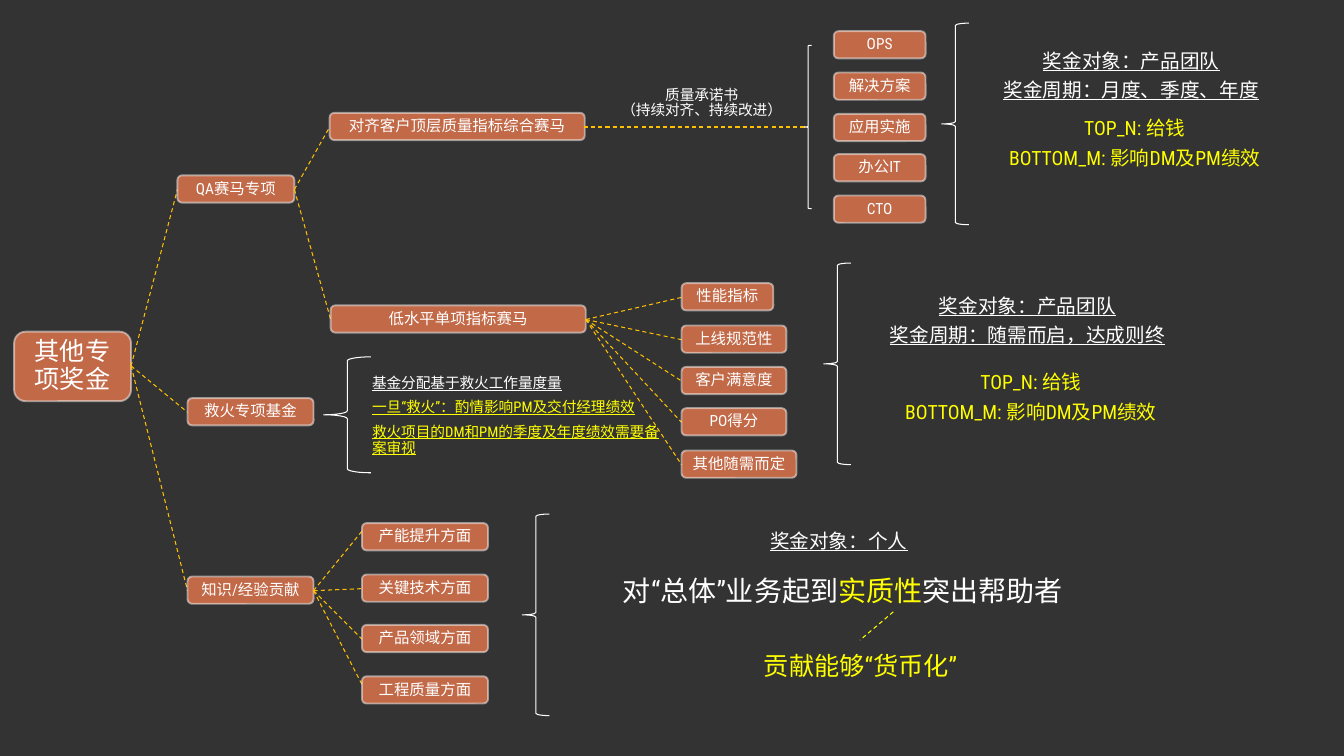
"""Build the mind-map slide on special bonuses."""
import copy
import dataclasses
import typing

import lxml.etree
import pptx
import pptx.dml.color
import pptx.enum.dml
import pptx.enum.shapes
import pptx.enum.text
import pptx.oxml.ns
import pptx.util

PX = 9144
FONT = "Roboto Condensed"
COLORS = {
    "background": "333333", "node": "FF8051", "border": "F9F9F9",
    "white": "FFFFFF", "yellow": "FFFF00", "branch": "FFC000",
}
SHAPES = pptx.enum.shapes.MSO_SHAPE
CENTER = pptx.enum.text.PP_ALIGN.CENTER
LEFT = pptx.enum.text.PP_ALIGN.LEFT
PARAGRAPH = {"line_spacing": 0.9, "space_after": pptx.util.Pt(6)}
FRAME = {
    "vertical_anchor": pptx.enum.text.MSO_ANCHOR.TOP,
    "auto_size": pptx.enum.text.MSO_AUTO_SIZE.SHAPE_TO_FIT_TEXT,
}


class Box(typing.NamedTuple):
    x: int
    y: int
    w: int
    h: int


class Span(typing.NamedTuple):
    text: str
    color: str = "white"
    underline: bool | None = None


@dataclasses.dataclass
class Node:
    text: str
    box: Box
    size: float = 11
    port: int = 14
    children: list["Node"] = dataclasses.field(default_factory=list)


@dataclasses.dataclass
class Note:
    box: Box
    size: float
    paragraphs: list[list[Span]]
    align: typing.Any = CENTER
    wrap: bool = True


def px(n: int) -> int:
    return pptx.util.Emu(n * PX)


def rgb(name: str) -> pptx.dml.color.RGBColor:
    return pptx.dml.color.RGBColor.from_string(COLORS[name])


def assign(obj: typing.Any, values: dict[str, typing.Any]) -> None:
    for name, value in values.items():
        setattr(obj, name, value)


def set_alpha(sp: typing.Any, tags: list[str], percent: int) -> None:
    clr = sp._element.spPr.find("/".join(map(pptx.oxml.ns.qn, tags)))
    alpha = lxml.etree.SubElement(clr, pptx.oxml.ns.qn("a:alpha"))
    alpha.set("val", str(percent * 1000))


def write(tf: typing.Any, paragraphs: list[list[Span]], size: float,
          align: typing.Any, inset: tuple[int, int], wrap: bool = True) -> None:
    mx, my = map(px, inset)
    assign(tf, FRAME | {"word_wrap": wrap, "margin_left": mx, "margin_right": mx,
                        "margin_top": my, "margin_bottom": my})
    for i, spans in enumerate(paragraphs):
        p = tf.add_paragraph() if i else tf.paragraphs[0]
        assign(p, PARAGRAPH | {"alignment": align})
        for span in spans:
            for j, text in enumerate(span.text.split("\n")):
                if j:
                    p.add_line_break()
                r = p.add_run()
                r.text = text
                assign(r.font, {"name": FONT, "size": pptx.util.Pt(size),
                                "underline": span.underline})
                r.font.color.rgb = rgb(span.color)
                rpr = r._r.get_or_add_rPr()
                ea = lxml.etree.SubElement(rpr, pptx.oxml.ns.qn("a:ea"))
                ea.set("typeface", FONT)
                for br in p._p.findall(pptx.oxml.ns.qn("a:br")):
                    if len(br) == 0:
                        br.append(copy.deepcopy(rpr))


def add_dash(s: typing.Any, x1: int, y1: int, x2: int, y2: int, color: str = "branch") -> None:
    kind = pptx.enum.shapes.MSO_CONNECTOR.STRAIGHT
    line = s.shapes.add_connector(kind, *map(px, (x1, y1, x2, y2)))
    assign(line.line, {"width": pptx.util.Pt(0.75),
                       "dash_style": pptx.enum.dml.MSO_LINE.DASH})
    line.line.color.rgb = rgb(color)
    lxml.etree.SubElement(line._element.spPr, pptx.oxml.ns.qn("a:effectLst"))


def add_node(s: typing.Any, node: Node) -> None:
    sp = s.shapes.add_shape(SHAPES.ROUNDED_RECTANGLE, *map(px, node.box))
    sp.shadow.inherit = False
    sp.fill.solid()
    sp.fill.fore_color.rgb = rgb("node")
    sp.line.width = pptx.util.Pt(1.35)
    sp.line.color.rgb = rgb("border")
    set_alpha(sp, ["a:solidFill", "a:srgbClr"], 70)
    set_alpha(sp, ["a:ln", "a:solidFill", "a:srgbClr"], 50)
    write(sp.text_frame, [[Span(node.text)]], node.size, CENTER, (8, 4))
    for child in node.children:
        add_dash(s, node.box.x + node.box.w, node.box.y + node.port,
                 child.box.x, child.box.y + child.port)
        add_node(s, child)


def add_brace(s: typing.Any, box: Box) -> None:
    sp = s.shapes.add_shape(SHAPES.LEFT_BRACE, *map(px, box))
    sp.shadow.inherit = False
    sp.fill.background()
    sp.line.width = pptx.util.Pt(0.75)
    sp.line.color.rgb = rgb("white")


def add_note(s: typing.Any, note: Note) -> None:
    sp = s.shapes.add_textbox(*map(px, note.box))
    write(sp.text_frame, note.paragraphs, note.size, note.align, (20, 16), note.wrap)


def column(x: int, y: int, step: float, items: list[tuple[str, int]]) -> list[Node]:
    return [Node(text, Box(x, y + round(i * step), w, 27))
            for i, (text, w) in enumerate(items)]


def lines(color: str, underline: bool | None, *texts: str) -> list[list[Span]]:
    return [[Span(text, color, underline)] for text in texts]


PRODUCTS = column(827, 31, 40.75, [
    (t, 91) for t in ("OPS", "解决方案", "应用实施", "办公IT", "CTO")])
METRICS = column(676, 281, 41.5, [
    ("性能指标", 91), ("上线规范性", 104), ("客户满意度", 104),
    ("PO得分", 104), ("其他随需而定", 114)])
CONTRIBUTIONS = column(359, 519, 50.67, [
    (t, 125) for t in ("产能提升方面", "关键技术方面", "产品领域方面", "工程质量方面")])
CONTRIBUTIONS[0].port = CONTRIBUTIONS[-1].port = 8

ROOT = Node("其他专项奖金", Box(14, 329, 116, 69), 18, 34, [
    Node("QA赛马专项", Box(176, 174, 116, 27), children=[
        Node("对齐客户顶层质量指标综合赛马", Box(327, 112, 253, 27)),
        Node("低水平单项指标赛马", Box(328, 303, 253, 27), children=METRICS)]),
    Node("救火专项基金", Box(186, 395, 125, 27)),
    Node("知识/经验贡献", Box(186, 572, 125, 27), children=CONTRIBUTIONS)])

BRACES = [Box(798, 45, 7, 162), Box(817, 261, 27, 200), Box(934, 23, 27, 200),
          Box(518, 510, 27, 200), Box(321, 354, 47, 115)]

OUTCOME = lines("yellow", None, "TOP_N: 给钱", "BOTTOM_M: 影响DM及PM绩效")
NOTES = [
    Note(Box(595, 71, 202, 64), 10.5,
         lines("white", None, "质量承诺书\n（持续对齐、持续改进）"), wrap=False),
    Note(Box(947, 35, 350, 83), 14,
         lines("white", True, "奖金对象：产品团队", "奖金周期：月度、季度、年度")),
    Note(Box(947, 102, 357, 83), 14, OUTCOME),
    Note(Box(844, 278, 350, 83), 14,
         lines("white", True, "奖金对象：产品团队", "奖金周期：随需而启，达成则终")),
    Note(Box(844, 354, 357, 83), 14, OUTCOME),
    Note(Box(657, 517, 350, 54), 14, lines("white", True, "奖金对象：个人")),
    Note(Box(571, 558, 530, 63), 20,
         [[Span("对“总体”业务起到"), Span("实质性", "yellow"), Span("突出帮助者")]]),
    Note(Box(559, 635, 589, 60), 18, lines("yellow", None, "贡献能够“货币化”")),
    Note(Box(349, 357, 325, 113), 10.5,
         lines("white", True, "基金分配基于救火工作量度量")
         + lines("yellow", True, "一旦“救火”：酌情影响PM及交付经理绩效",
                 "救火项目的DM和PM的季度及年度绩效需要备案审视"), LEFT),
]


def main() -> None:
    prs = pptx.Presentation()
    assign(prs, {"slide_width": px(1333), "slide_height": px(750)})
    s = prs.slides.add_slide(prs.slide_layouts[6])
    s.background.fill.solid()
    s.background.fill.fore_color.rgb = rgb("background")
    for node in [ROOT, *PRODUCTS]:
        add_node(s, node)
    add_dash(s, 579, 126, 798, 126)
    add_dash(s, 886, 607, 853, 635, "yellow")
    for brace in BRACES:
        add_brace(s, brace)
    for note in NOTES:
        add_note(s, note)
    prs.save("out.pptx")


if __name__ == "__main__":
    main()
